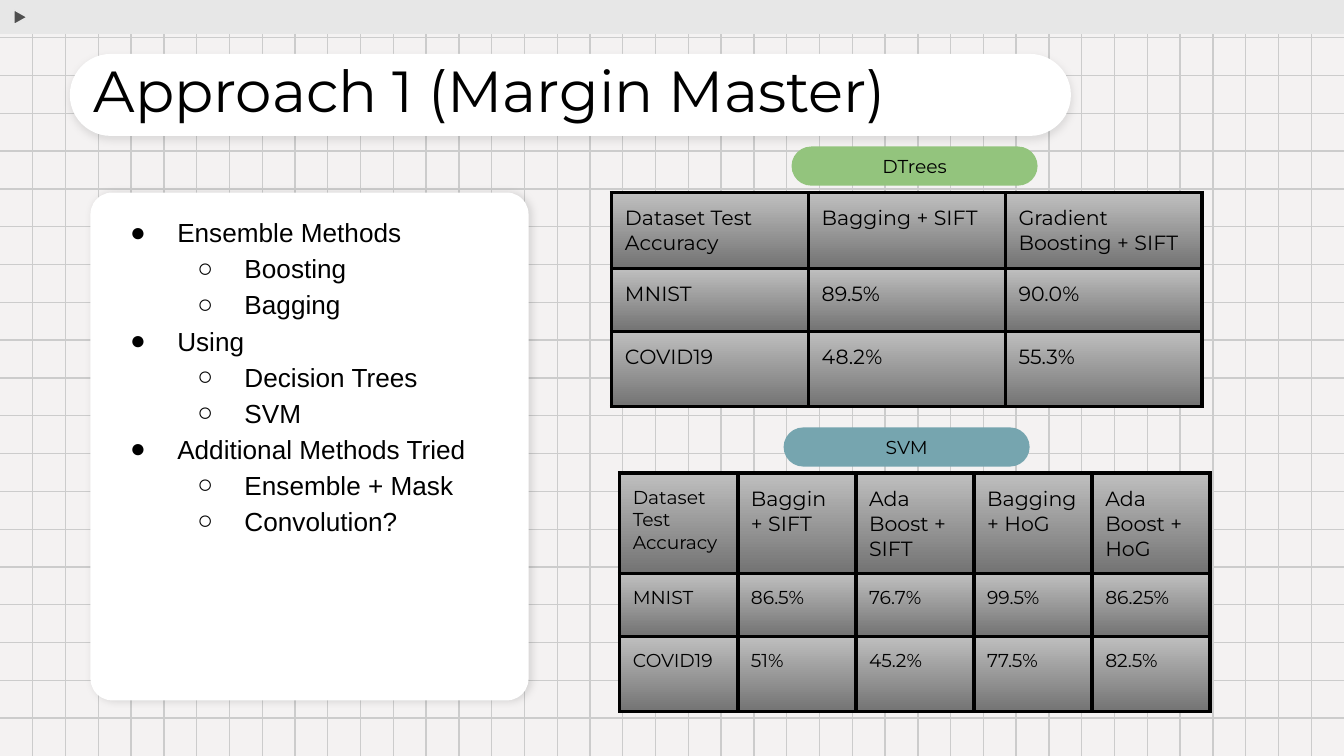
from lxml.etree import SubElement as Sub
from pptx import Presentation as Deck
from pptx.dml.color import RGBColor
from pptx.enum.shapes import MSO_CONNECTOR as Link, MSO_SHAPE as Kind
from pptx.enum.text import MSO_ANCHOR as Anchor, MSO_AUTO_SIZE as Fit, PP_ALIGN as Align
from pptx.oxml.ns import qn
from pptx.util import Cm, Pt

WIDE, HIGH = 25.4, 14.29
SANS, BRAND = "Arial", "Montserrat"
BLACK, WHITE, PALE = "000000", "FFFFFF", "E7E7E7"
TOPICS = [
    ("Ensemble Methods", ["Boosting", "Bagging"]),
    ("Using", ["Decision Trees", "SVM"]),
    ("Additional Methods Tried", ["Ensemble + Mask", "Convolution?"]),
]
TREES = [
    ["Dataset Test Accuracy", "Bagging + SIFT", "Gradient Boosting + SIFT"],
    ["MNIST", "89.5%", "90.0%"],
    ["COVID19", "48.2%", "55.3%"],
]
VECTORS = [
    ["Dataset Test Accuracy", "Baggin + SIFT", "Ada Boost + SIFT", "Bagging + HoG", "Ada Boost + HoG"],
    ["MNIST", "86.5%", "76.7%", "99.5%", "86.25%"],
    ["COVID19", "51%", "45.2%", "77.5%", "82.5%"],
]


def tint(code):
    return RGBColor.from_string(code)


def node(top, tag, **vals):
    return Sub(top, qn(tag), {key: str(val) for key, val in vals.items()})


def write(par, text, size=10, font=BRAND, color=BLACK, align=Align.LEFT, space=1.0):
    par.alignment, par.line_spacing = align, space
    par.space_before = par.space_after = Pt(0)
    run = par.add_run()
    run.text = text
    run.font.size, run.font.name = Pt(size), font
    run.font.color.rgb = tint(color)


def inset(item):
    item.margin_left = item.margin_right = Cm(0.25)
    item.margin_top = item.margin_bottom = Cm(0.25)


def place(shape, box):
    shape.left, shape.top, shape.width, shape.height = map(Cm, box)


def paint(shape, fill, edge=None):
    shape.shadow.inherit = False
    shape.fill.solid()
    shape.fill.fore_color.rgb = tint(fill)
    if edge:
        shape.line.color.rgb = tint(edge)
        shape.line.width = Pt(0.75)
    else:
        shape.line.fill.background()


def form(slide, kind, box, fill, edge=None):
    shape = slide.shapes.add_shape(kind, *map(Cm, box))
    paint(shape, fill, edge)
    return shape


def shade(shape, alpha, angle):
    glow = node(shape._element.spPr.find(qn("a:effectLst")), "a:outerShdw", blurRad=Pt(4.5),
                dist=Pt(1.5), dir=angle * 60000, algn="bl", rotWithShape=0)
    node(node(glow, "a:srgbClr", val=BLACK), "a:alpha", val=alpha * 1000)


def raise_up(slide, shape):
    slide.shapes._spTree.append(shape._element)


def draw_grid(slide, box, cols, rows):
    left, top, wide, high = box
    group = slide.shapes.add_group_shape()
    across = [(left, top + high * i / rows, left + wide, top + high * i / rows) for i in range(1, rows)]
    down = [(left + wide * i / cols, top, left + wide * i / cols, top + high) for i in range(1, cols)]
    for ends in across + down:
        line = group.shapes.add_connector(Link.STRAIGHT, *map(Cm, ends))
        line.line.color.rgb = tint("CCCCCC")
        line.line.width = Pt(0.75)
        node(line._element.spPr, "a:effectLst")


def draw_bar(slide, box):
    left, top, wide, high = box
    form(slide, Kind.RECTANGLE, box, PALE)
    mark = form(slide, Kind.ISOSCELES_TRIANGLE, (left + 0.25, top + 0.2, 0.28, 0.25), "4F4F4F", PALE)
    mark.rotation = 90


def draw_list(slide, box):
    card = slide.placeholders[1]
    raise_up(slide, card)
    place(card, box)
    node(node(card._element.spPr, "a:prstGeom", prst="roundRect"), "a:avLst")
    card.adjustments[0] = 0.05
    paint(card, WHITE)
    shade(card, 12, 0)
    frame = card.text_frame
    frame.auto_size, frame.word_wrap, frame.vertical_anchor = Fit.NONE, True, Anchor.TOP
    inset(frame)
    lines = [(level, text) for head, subs in TOPICS
             for level, text in [(0, head)] + [(1, sub) for sub in subs]]
    for i, (level, text) in enumerate(lines):
        par = frame.add_paragraph() if i else frame.paragraphs[0]
        par.level = level
        props = par._p.get_or_add_pPr()
        props.set("marL", str(Cm(1.27 * (level + 1))))
        props.set("indent", str(-Cm(0.89)))
        node(node(props, "a:buClr"), "a:srgbClr", val=BLACK)
        node(props, "a:buFont", typeface=SANS)
        node(props, "a:buChar", char="●○"[level])
        write(par, text, size=14, font=SANS, space=1.15)


def draw_title(slide, box):
    left, top, wide, high = box
    pill = form(slide, Kind.ROUNDED_RECTANGLE, box, WHITE)
    pill.adjustments[0] = 0.5
    shade(pill, 10, 90)
    title = slide.shapes.title
    raise_up(slide, title)
    place(title, (left + 0.2, top - 0.08, 15.8, high + 0.15))
    frame = title.text_frame
    frame.auto_size, frame.word_wrap, frame.vertical_anchor = Fit.SHAPE_TO_FIT_TEXT, True, Anchor.TOP
    inset(frame)
    write(frame.paragraphs[0], "Approach 1 (Margin Master)", size=31, space=0.9)


def style_cell(cell):
    inset(cell)
    props = cell._tc.get_or_add_tcPr()
    for side in "LRTB":
        edge = node(props, "a:ln" + side, w=Pt(2.25))
        node(node(edge, "a:solidFill"), "a:srgbClr", val=BLACK)
    cell.fill.gradient()
    cell.fill.gradient_angle = 270
    for stop, code in zip(cell.fill.gradient_stops, ("BFBFBF", "737373")):
        stop.color.rgb = tint(code)


def draw_table(slide, box, data, size):
    grid = slide.shapes.add_table(len(data), len(data[0]), *map(Cm, box)).table
    grid.first_row = grid.horz_banding = False
    for col in grid.columns:
        col.width = Cm(box[2] / len(data[0]))
    for row, high in zip(grid.rows, (1.07, 1.19, 1.42)):
        row.height = Cm(high)
    for r, row in enumerate(data):
        for c, text in enumerate(row):
            cell = grid.cell(r, c)
            style_cell(cell)
            write(cell.text_frame.paragraphs[0], text, size=11 if r == 0 and c else size)


def draw_tag(slide, box, text, fill):
    tag = form(slide, Kind.ROUNDED_RECTANGLE, box, fill)
    tag.adjustments[0] = 0.5
    frame = tag.text_frame
    frame.word_wrap, frame.vertical_anchor = True, Anchor.MIDDLE
    inset(frame)
    write(frame.paragraphs[0], text, align=Align.CENTER)


def main():
    deck = Deck()
    deck.slide_width, deck.slide_height = Cm(WIDE), Cm(HIGH)
    slide = deck.slides.add_slide(deck.slide_layouts[1])
    slide.background.fill.solid()
    slide.background.fill.fore_color.rgb = tint("F4F2F2")
    draw_grid(slide, (0, 0, WIDE, HIGH), 41, 20)
    draw_bar(slide, (0, 0, WIDE, 0.64))
    draw_list(slide, (1.71, 3.64, 8.28, 9.6))
    draw_title(slide, (1.32, 1.02, 18.92, 1.55))
    draw_table(slide, (11.56, 3.64, 11.16, 3.68), TREES, 11)
    draw_table(slide, (11.71, 8.94, 11.16, 3.68), VECTORS, 10)
    draw_tag(slide, (14.96, 2.77, 4.65, 0.74), "DTrees", "93C47D")
    draw_tag(slide, (14.81, 8.08, 4.65, 0.74), "SVM", "76A5AF")
    deck.save("out.pptx")


if __name__ == "__main__":
    main()
